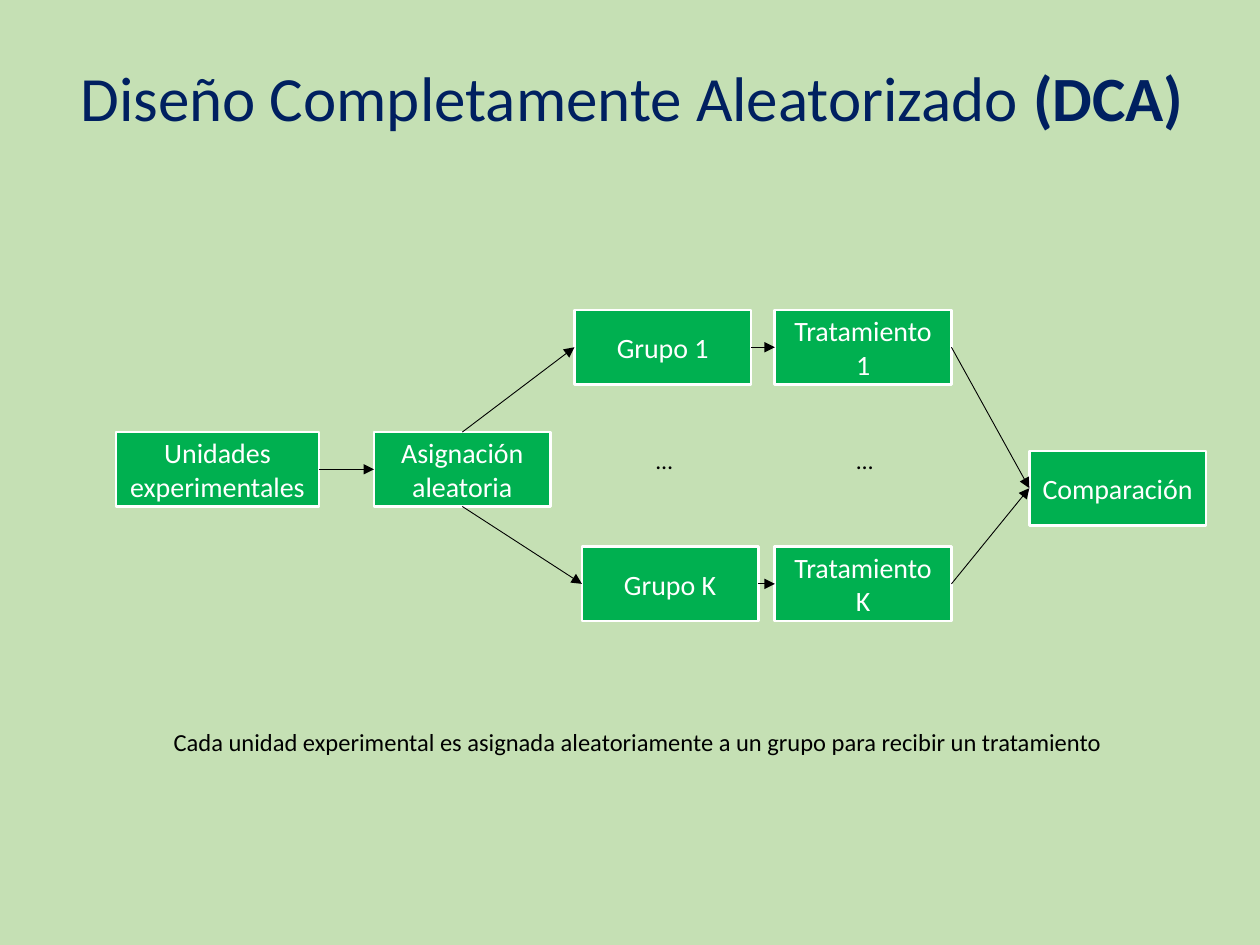
import pptx
import pptx.util
import pptx.dml.color
import pptx.enum.shapes
import pptx.enum.text
import pptx.oxml
import pptx.oxml.ns

Cm, Pt = pptx.util.Cm, pptx.util.Pt
ALIGN, ANCHOR = pptx.enum.text.PP_ALIGN, pptx.enum.text.MSO_ANCHOR

FONT = "Calibri"
BACKGROUND, NAVY, GREEN = "C5E0B4", "002060", "00B050"
WHITE, BLACK = "FFFFFF", "000000"

TITLE = [("Diseño Completamente Aleatorizado ", False), ("(DCA)", True)]
CAPTION = "Cada unidad experimental es asignada aleatoriamente a un grupo para recibir un tratamiento"

BOX_W, BOX_H = 3.56, 1.5
ROW_1, ROW_MID, ROW_K, ROW_END = 6.25, 8.71, 11.02, 9.09
TREATMENT_X = 15.62

# name: (text, left, top, width) in cm
BOXES = {
    "units": ("Unidades experimentales", 2.34, ROW_MID, 4.09),
    "assignment": ("Asignación aleatoria", 7.54, ROW_MID, BOX_W),
    "group 1": ("Grupo 1", 11.58, ROW_1, BOX_W),
    "group K": ("Grupo K", 11.73, ROW_K, BOX_W),
    "treatment 1": ("Tratamiento 1", TREATMENT_X, ROW_1, BOX_W),
    "treatment K": ("Tratamiento K", TREATMENT_X, ROW_K, BOX_W),
    "comparison": ("Comparación", 20.75, ROW_END, BOX_W),
}

# Connection sites of a rectangle
TOP, LEFT, BOTTOM, RIGHT = range(4)
# Every arrow enters its target on the left
ARROWS = [
    ("units", RIGHT, "assignment"),
    ("assignment", TOP, "group 1"),
    ("assignment", BOTTOM, "group K"),
    ("group 1", RIGHT, "treatment 1"),
    ("group K", RIGHT, "treatment K"),
    ("treatment 1", RIGHT, "comparison"),
    ("treatment K", RIGHT, "comparison"),
]

# text, size in pt, left, top, width, height in cm
LABELS = [
    (CAPTION, 14, 3.25, 14.53, 19.41, 0.86),
    ("…", 13.5, 12.98, 8.86, 1.04, 0.84),
    ("…", 13.5, 17.02, 8.86, 0.84, 0.84),
]


def rgb(color):
    return pptx.dml.color.RGBColor.from_string(color)


def set_font(p, size, color):
    p.font.name = FONT
    p.font.size = Pt(size)
    p.font.color.rgb = rgb(color)


def add_title(s):
    tf = s.shapes.add_textbox(Cm(1.37), Cm(0.53), Cm(22.78), Cm(3)).text_frame
    tf.word_wrap = True
    tf.vertical_anchor = ANCHOR.MIDDLE
    p = tf.paragraphs[0]
    p.line_spacing = 0.9
    set_font(p, 36, NAVY)
    for text, bold in TITLE:
        r = p.add_run()
        r.text = text
        r.font.bold = bold


def add_box(s, text, left, top, width):
    sp = s.shapes.add_shape(pptx.enum.shapes.MSO_SHAPE.RECTANGLE,
                            Cm(left), Cm(top), Cm(width), Cm(BOX_H))
    sp.shadow.inherit = False
    sp.fill.solid()
    sp.fill.fore_color.rgb = rgb(GREEN)
    sp.line.color.rgb = rgb(WHITE)
    sp.line.width = Pt(1.5)
    tf = sp.text_frame
    tf.word_wrap = True
    tf.vertical_anchor = ANCHOR.MIDDLE
    p = tf.paragraphs[0]
    p.text = text
    p.alignment = ALIGN.CENTER
    set_font(p, 16, WHITE)
    return sp


def add_arrow(s, start, site, end):
    line = s.shapes.add_connector(pptx.enum.shapes.MSO_CONNECTOR.STRAIGHT, 0, 0, 0, 0)
    line.begin_connect(start, site)
    line.end_connect(end, LEFT)
    line.line.color.rgb = rgb(BLACK)
    line.line.width = Pt(0.5)
    ns = pptx.oxml.ns.nsdecls("a")
    line.line._get_or_add_ln().append(
        pptx.oxml.parse_xml(f'<a:tailEnd {ns} type="triangle"/>'))
    line._element.spPr.append(pptx.oxml.parse_xml(f"<a:effectLst {ns}/>"))


def add_label(s, text, size, left, top, width, height):
    tf = s.shapes.add_textbox(Cm(left), Cm(top), Cm(width), Cm(height)).text_frame
    tf.word_wrap = False
    p = tf.paragraphs[0]
    p.text = text
    set_font(p, size, BLACK)


def main():
    prs = pptx.Presentation()
    prs.slide_width, prs.slide_height = Cm(25.4), Cm(19.05)
    s = prs.slides.add_slide(prs.slide_layouts[6])
    s.background.fill.solid()
    s.background.fill.fore_color.rgb = rgb(BACKGROUND)

    add_title(s)
    boxes = {name: add_box(s, *box) for name, box in BOXES.items()}
    for start, site, end in ARROWS:
        add_arrow(s, boxes[start], site, boxes[end])
    for label in LABELS:
        add_label(s, *label)
    prs.save("out.pptx")


if __name__ == "__main__":
    main()
